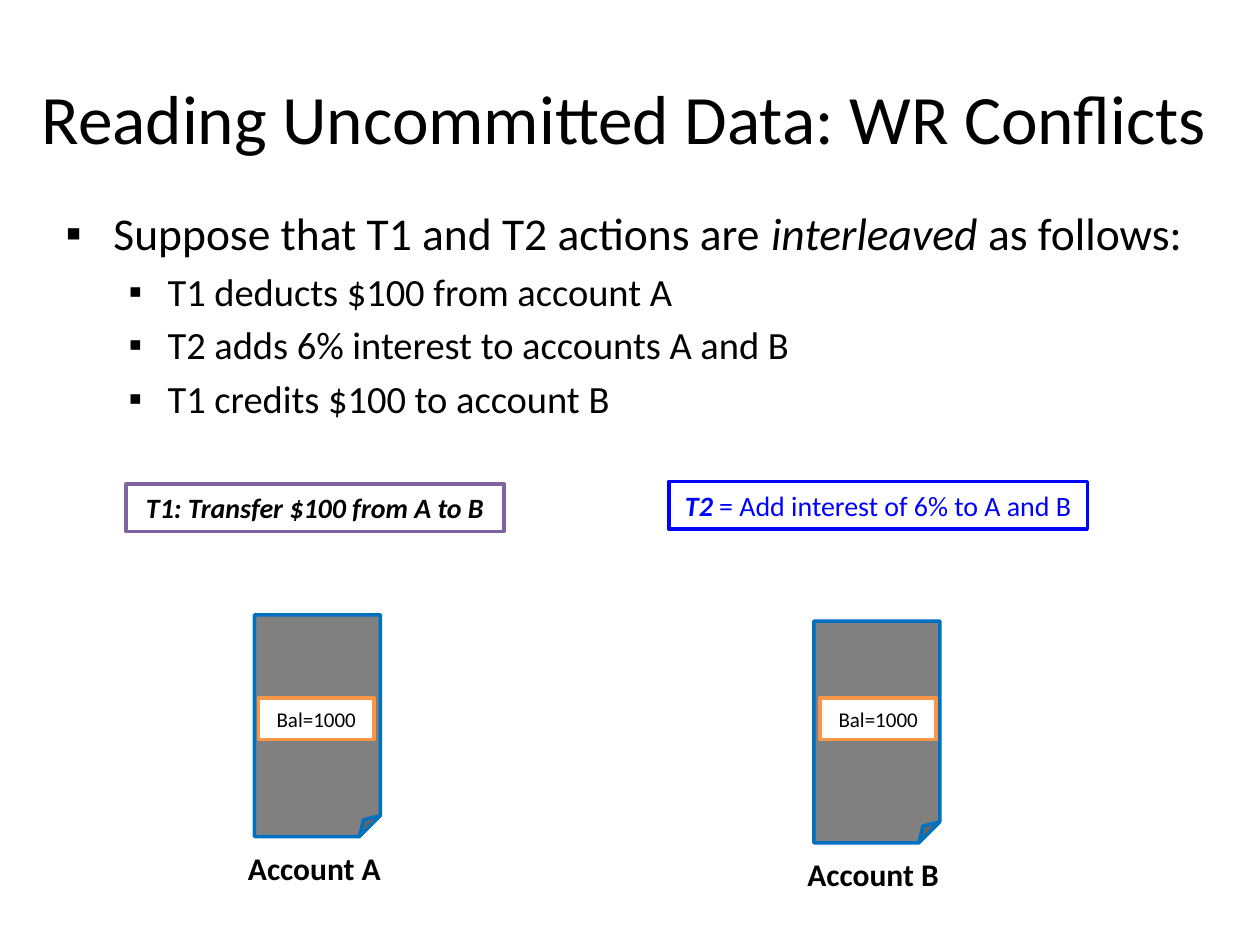
from lxml.etree import SubElement
from pptx import Presentation
from pptx.dml.color import RGBColor
from pptx.enum.shapes import MSO_SHAPE
from pptx.enum.text import MSO_ANCHOR, MSO_AUTO_SIZE, PP_ALIGN
from pptx.oxml.ns import qn
from pptx.util import Inches, Pt

FONT = "Calibri"
BLACK = RGBColor(0x00, 0x00, 0x00)
WHITE = RGBColor(0xFF, 0xFF, 0xFF)
GRAY = RGBColor(0x80, 0x80, 0x80)
PAGE_BLUE = RGBColor(0x00, 0x70, 0xC0)
ORANGE = RGBColor(0xF7, 0x96, 0x46)
PURPLE = RGBColor(0x80, 0x64, 0xA2)
BLUE = RGBColor(0x00, 0x00, 0xFF)

SLIDE_WIDTH, SLIDE_HEIGHT = Inches(10), Inches(7.5)
COLUMN, ROW = SLIDE_WIDTH / 100, SLIDE_HEIGHT / 75


def on_grid(box):
    """Turn left, top, width and height in grid units into lengths."""
    return [round(share * unit) for share, unit in zip(box, (COLUMN, ROW) * 2)]


def add_span(para, text, size, color=BLACK, bold=False, italic=False):
    """Add one formatted run to a paragraph."""
    span = para.add_run()
    span.text = text
    font = span.font
    font.name, font.size = FONT, Pt(size)
    font.bold, font.italic = bold, italic
    font.color.rgb = color


def place(holder, box):
    """Put a placeholder on the grid and return its text frame."""
    holder.left, holder.top, holder.width, holder.height = on_grid(box)
    frame = holder.text_frame
    frame.word_wrap = True
    frame.auto_size = MSO_AUTO_SIZE.NONE
    return frame


def set_bullet(para, margin, hang):
    """Give a paragraph a square bullet with a hanging indent."""
    properties = para._p.get_or_add_pPr()
    properties.set("marL", str(Inches(margin)))
    properties.set("indent", str(-Inches(hang)))
    SubElement(properties, qn("a:buFont"), typeface="Arial")
    SubElement(properties, qn("a:buChar"), char="▪")


def fill_title(page, box):
    """Write the slide title."""
    frame = place(page.shapes.title, box)
    frame.vertical_anchor = MSO_ANCHOR.MIDDLE
    para = frame.paragraphs[0]
    para.alignment = PP_ALIGN.CENTER
    add_span(para, "Reading Uncommitted Data: WR Conflicts", 39.6)


def fill_body(page, box):
    """Write the statement and the interleaved steps below it."""
    frame = place(page.placeholders[1], box)
    frame.vertical_anchor = MSO_ANCHOR.TOP
    lead = frame.paragraphs[0]
    set_bullet(lead, 0.38, 0.38)
    lead.space_before = Pt(0)
    add_span(lead, "Suppose that T1 and T2 actions are ", 26)
    add_span(lead, "interleaved", 26, italic=True)
    add_span(lead, " as follows:", 26)
    for step in ("T1 deducts $100 from account A",
                 "T2 adds 6% interest to accounts A and B",
                 "T1 credits $100 to account B"):
        para = frame.add_paragraph()
        para.level = 1
        set_bullet(para, 0.81, 0.31)
        para.space_before = Pt(4.4)
        add_span(para, step, 22)


def add_panel(page, kind, box, fill, line):
    """Add a flat outlined shape and return its centred paragraph."""
    shape = page.shapes.add_shape(kind, *on_grid(box))
    shape.shadow.inherit = False
    shape.fill.solid()
    shape.fill.fore_color.rgb = fill
    shape.line.color.rgb = line
    shape.line.width = Pt(2)
    frame = shape.text_frame
    frame.word_wrap = True
    frame.vertical_anchor = MSO_ANCHOR.MIDDLE
    para = frame.paragraphs[0]
    para.alignment = PP_ALIGN.CENTER
    return para


def add_transaction(page, box, line, color, name, detail=""):
    """Add a transaction box with an emphasised name and a plain detail."""
    para = add_panel(page, MSO_SHAPE.RECTANGLE, box, WHITE, line)
    add_span(para, name, 16, color, bold=True, italic=True)
    if detail:
        add_span(para, detail, 16, color)


def add_account(page, box, balance_left, balance_top, name):
    """Add an account sheet with its balance and the name below it."""
    left, top, width, height = box
    add_panel(page, MSO_SHAPE.FOLDED_CORNER, box, GRAY, PAGE_BLUE)
    balance = add_panel(page, MSO_SHAPE.RECTANGLE,
                        (left + balance_left, balance_top, 9.2, 3.3), WHITE, ORANGE)
    add_span(balance, "Bal=1000", 12)
    label = page.shapes.add_textbox(
        *on_grid((left - 1.5, top + height + 0.5, 12.6, 4)))
    label.text_frame.word_wrap = False
    add_span(label.text_frame.paragraphs[0], name, 18, bold=True)


def main():
    """Build the slide and save the deck."""
    deck = Presentation()
    deck.slide_width, deck.slide_height = SLIDE_WIDTH, SLIDE_HEIGHT
    page = deck.slides.add_slide(deck.slide_layouts[1])
    fill_title(page, (0.8, 3, 97.5, 12.5))
    fill_body(page, (4.2, 15.8, 94.5, 57.5))
    add_transaction(page, (10, 38.4, 30, 3.8), PURPLE, BLACK,
                    "T1: Transfer $100 from A to B")
    add_transaction(page, (53.1, 38.2, 33.2, 3.8), BLUE, BLUE,
                    "T2 ", "= Add interest of 6% to A and B")
    add_account(page, (20.2, 48.8, 10, 17.6), 0.3, 55.4, "Account A")
    add_account(page, (64.6, 49.3, 10, 17.6), 0.5, 55.4, "Account B")
    deck.save("out.pptx")


if __name__ == "__main__":
    main()
